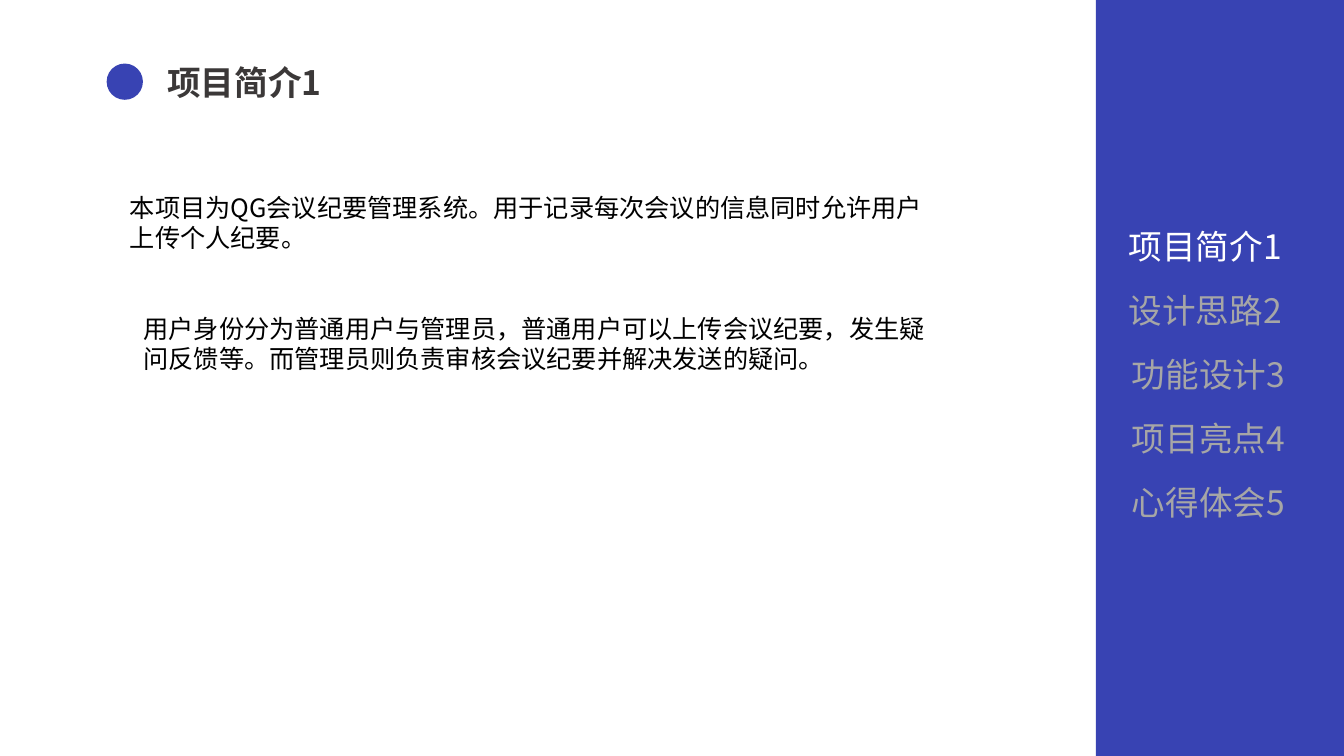
from pptx import Presentation
from pptx.dml.color import RGBColor
from pptx.enum.shapes import MSO_SHAPE as SHAPE
from pptx.enum.text import MSO_ANCHOR as ANCHOR, MSO_AUTO_SIZE as AUTO, PP_ALIGN as ALIGN
from pptx.oxml.ns import qn
from pptx.util import Pt
from lxml import etree

FONT = "Noto Sans CJK SC"
BLUE, WHITE, GREY, DARK, BLACK = "3843B3", "FFFFFF", "A6A6A6", "3B3838", "000000"


def rgb(color):
    return RGBColor.from_string(color)


def write(sp, text, size, color, bold=False):
    tf = sp.text_frame
    tf.word_wrap = True
    tf.auto_size = AUTO.NONE
    tf.vertical_anchor = ANCHOR.TOP
    p = tf.paragraphs[0]
    p.alignment = ALIGN.LEFT
    r = p.add_run()
    r.text = text
    r.font.size, r.font.bold, r.font.name = Pt(size), bold, FONT
    r.font.color.rgb = rgb(color)
    # East Asian typeface
    ea = etree.SubElement(r.font._element, qn("a:ea"))
    ea.set("typeface", FONT)


prs = Presentation()
prs.slide_width, prs.slide_height = Pt(960), Pt(540)
s = prs.slides.add_slide(prs.slide_layouts[5])

# Sidebar and title dot
for kind, x, y, w, h in [
    (SHAPE.RECTANGLE, 782.8, 0, 177.2, 540),
    (SHAPE.OVAL, 76.2, 45.4, 25.9, 25.9),
]:
    sp = s.shapes.add_shape(kind, Pt(x), Pt(y), Pt(w), Pt(h))
    sp.shadow.inherit = False
    sp.fill.solid()
    sp.fill.fore_color.rgb = rgb(BLUE)
    sp.line.fill.background()

# Title
title = s.shapes.title
title.left, title.top, title.width, title.height = Pt(112.3), Pt(40.3), Pt(209.5), Pt(36)
write(title, "项目简介1", 24, DARK, bold=True)

# Sidebar menu, current section in white
sections = ["项目简介", "设计思路", "功能设计", "项目亮点", "心得体会"]
for i, name in enumerate(sections):
    x = 799.2 if i < 2 else 801.4
    sp = s.shapes.add_textbox(Pt(x), Pt(157.6 + 45.7 * i), Pt(140.4), Pt(36))
    write(sp, f"{name}{i + 1}", 24, WHITE if i == 0 else GREY)

# Introduction
for x, y, w, text in [
    (85.7, 133.9, 586, "本项目为QG会议纪要管理系统。用于记录每次会议的信息同时允许用户上传个人纪要。"),
    (95.5, 220.3, 576, "用户身份分为普通用户与管理员，普通用户可以上传会议纪要，发生疑问反馈等。"
                       "而管理员则负责审核会议纪要并解决发送的疑问。"),
]:
    sp = s.shapes.add_textbox(Pt(x), Pt(y), Pt(w), Pt(51))
    write(sp, text, 18, BLACK)

prs.save("out.pptx")
